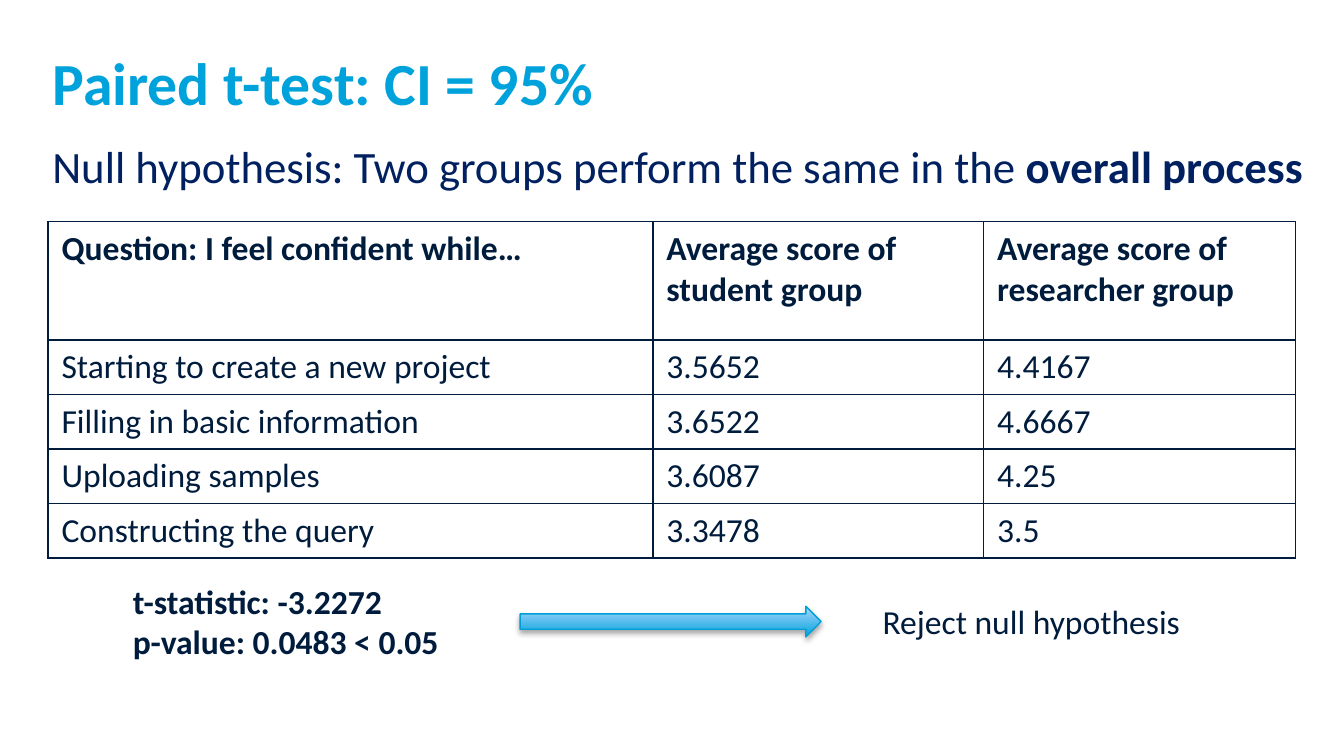
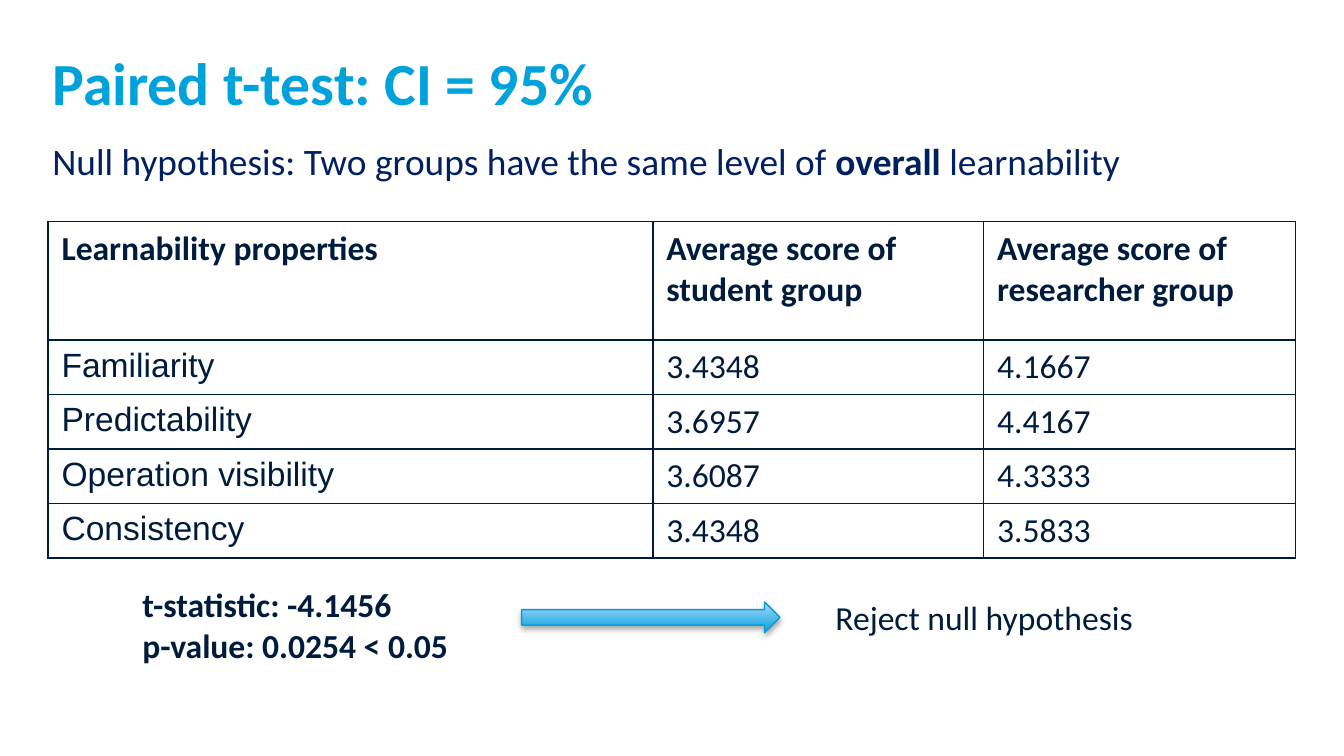
from lxml import etree
from pptx import Presentation
from pptx.dml.color import RGBColor
from pptx.enum.shapes import MSO_SHAPE
from pptx.enum.text import MSO_ANCHOR, MSO_AUTO_SIZE, PP_ALIGN
from pptx.oxml import parse_xml
from pptx.oxml.ns import nsdecls, qn
from pptx.util import Cm, Pt

RIGHT_ARROW = MSO_SHAPE.RIGHT_ARROW
TOP = MSO_ANCHOR.TOP
LEFT = PP_ALIGN.LEFT
NO_AUTOFIT = MSO_AUTO_SIZE.NONE

NAVY, BLUE, SKY = "001C3D", "00A2DB", "ACD8FF"
HYPOTHESIS_COLOR, ARROW_LINE, WHITE = "002060", "009ED6", "FFFFFF"
BODY_FONT = "Calibri"

TITLE = "Paired t-test: CI = 95%"
VERDICT = "Reject null hypothesis"
GROUP_HEADERS = ("Average score of student group", "Average score of researcher group")

TITLE_BOX = (0.99, 0.86, 23.14, 1.57)
HYPOTHESIS_BOX = (0.99, 2.62, 24.23, 1.57)
TABLE_LEFT, TABLE_TOP = 0.91, 4.19
COLUMN_WIDTHS = (11.43, 6.25, 5.89)
HEADER_HEIGHT, ROW_HEIGHT = 2.24, 0.91

TESTS = [
    {
        "hypothesis": [
            ("Null hypothesis: Two groups perform the same in the ", False),
            ("overall process", True),
        ],
        "hypothesis_size": 24,
        "header": "Question: I feel confident while…",
        "label_font": "Calibri",
        "scores": [
            ("Starting to create a new project", "3.5652", "4.4167"),
            ("Filling in basic information", "3.6522", "4.6667"),
            ("Uploading samples", "3.6087", "4.25"),
            ("Constructing the query", "3.3478", "3.5"),
        ],
        "statistics": ("t-statistic: -3.2272", "p-value: 0.0483 < 0.05"),
        "statistics_box": (2.26, 10.85, 7.11, 1.8),
        "arrow_box": (9.83, 11.46, 5.69, 0.58),
        "verdict_box": (16.43, 11.23, 6.71, 1.02),
    },
    {
        "hypothesis": [
            ("Null hypothesis: Two groups have the same level of ", False),
            ("overall", True),
            (" learnability", False),
        ],
        "hypothesis_size": 20,
        "header": "Learnability properties",
        "label_font": "Arial",
        "scores": [
            ("Familiarity", "3.4348", "4.1667"),
            ("Predictability", "3.6957", "4.4167"),
            ("Operation visibility", "3.6087", "4.3333"),
            ("Consistency", "3.4348", "3.5833"),
        ],
        "statistics": ("t-statistic: -4.1456", "p-value: 0.0254 < 0.05"),
        "statistics_box": (2.44, 10.92, 7.11, 1.8),
        "arrow_box": (9.86, 11.38, 4.88, 0.58),
        "verdict_box": (15.54, 11.15, 6.71, 1.02),
    },
]


def color(value):
    return RGBColor.from_string(value)


def lengths(box):
    return [Cm(value) for value in box]


def add_run(paragraph, text, size=18, bold=False, text_color=NAVY, font=BODY_FONT):
    run = paragraph.add_run()
    run.text = text
    run.font.size = Pt(size)
    run.font.bold = bold
    run.font.name = font
    run.font.color.rgb = color(text_color)


def remove_margins(frame):
    frame.margin_left = frame.margin_top = frame.margin_right = frame.margin_bottom = 0


def add_text_frame(slide, box):
    frame = slide.shapes.add_textbox(*lengths(box)).text_frame
    frame.word_wrap = True
    return frame


def add_title(slide):
    title = slide.shapes.title
    title.left, title.top, title.width, title.height = lengths(TITLE_BOX)
    frame = title.text_frame
    remove_margins(frame)
    frame.auto_size = NO_AUTOFIT
    frame.vertical_anchor = TOP
    paragraph = frame.paragraphs[0]
    paragraph.alignment = LEFT
    add_run(paragraph, TITLE, 32, True, BLUE)


def add_hypothesis(slide, test):
    frame = add_text_frame(slide, HYPOTHESIS_BOX)
    remove_margins(frame)
    for text, bold in test["hypothesis"]:
        add_run(frame.paragraphs[0], text, test["hypothesis_size"], bold, HYPOTHESIS_COLOR)


def add_borders(cell):
    properties = cell._tc.get_or_add_tcPr()
    for position, side in enumerate(("lnL", "lnR", "lnT", "lnB")):
        border = etree.Element(qn(f"a:{side}"), w=str(Pt(1)))
        fill = etree.SubElement(border, qn("a:solidFill"))
        etree.SubElement(fill, qn("a:srgbClr"), val=NAVY)
        properties.insert(position, border)


def add_score_table(slide, test):
    rows = [(test["header"], *GROUP_HEADERS), *test["scores"]]
    heights = [HEADER_HEIGHT] + [ROW_HEIGHT] * len(test["scores"])
    box = (TABLE_LEFT, TABLE_TOP, sum(COLUMN_WIDTHS), sum(heights))
    table = slide.shapes.add_table(len(rows), len(COLUMN_WIDTHS), *lengths(box)).table
    table.first_row = table.horz_banding = False
    for column, width in zip(table.columns, COLUMN_WIDTHS):
        column.width = Cm(width)
    for row_index, (values, height) in enumerate(zip(rows, heights)):
        table.rows[row_index].height = Cm(height)
        is_header = row_index == 0
        for column_index, text in enumerate(values):
            cell = table.cell(row_index, column_index)
            cell.fill.solid()
            cell.fill.fore_color.rgb = color(WHITE)
            add_borders(cell)
            is_label = column_index == 0 and not is_header
            font = test["label_font"] if is_label else BODY_FONT
            add_run(cell.text_frame.paragraphs[0], text, bold=is_header, font=font)


def add_arrow(slide, box):
    arrow = slide.shapes.add_shape(RIGHT_ARROW, *lengths(box))
    arrow.fill.gradient()
    arrow.fill.gradient_angle = 90
    for stop, position, value in zip(arrow.fill.gradient_stops, (0, 1), (BLUE, SKY)):
        stop.position = position
        stop.color.rgb = color(value)
    arrow.line.color.rgb = color(ARROW_LINE)
    arrow.line.width = Pt(0.75)
    arrow._element.spPr.append(parse_xml(
        f'<a:effectLst {nsdecls("a")}>'
        f'<a:outerShdw blurRad="{Pt(3.1)}" dist="{Pt(1.8)}" dir="5400000" rotWithShape="0">'
        '<a:srgbClr val="000000"><a:alpha val="35000"/></a:srgbClr>'
        '</a:outerShdw></a:effectLst>'
    ))


def add_conclusion(slide, test):
    frame = add_text_frame(slide, test["statistics_box"])
    for index, text in enumerate(test["statistics"]):
        paragraph = frame.add_paragraph() if index else frame.paragraphs[0]
        add_run(paragraph, text, bold=True)
    add_arrow(slide, test["arrow_box"])
    frame = add_text_frame(slide, test["verdict_box"])
    add_run(frame.paragraphs[0], VERDICT)


def main():
    presentation = Presentation()
    presentation.slide_width = Cm(25.4)
    presentation.slide_height = Cm(14.29)
    title_only = presentation.slide_layouts.get_by_name("Title Only")
    for test in TESTS:
        slide = presentation.slides.add_slide(title_only)
        add_title(slide)
        add_score_table(slide, test)
        add_hypothesis(slide, test)
        add_conclusion(slide, test)
    presentation.save("out.pptx")


if __name__ == "__main__":
    main()
